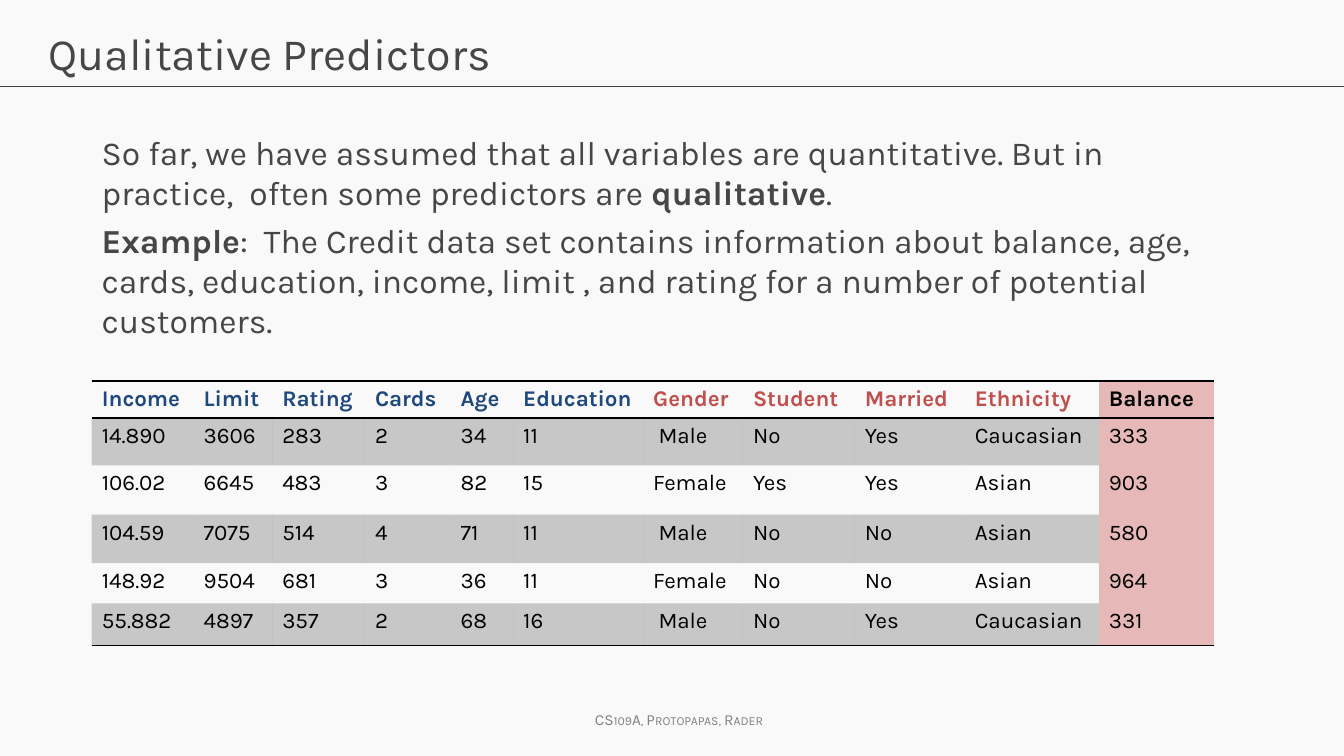
from lxml import etree
from pptx import Presentation
from pptx.dml.color import RGBColor
from pptx.enum.shapes import MSO_CONNECTOR
from pptx.enum.text import MSO_ANCHOR, PP_ALIGN
from pptx.oxml.ns import qn
from pptx.util import Inches, Pt

STRAIGHT = MSO_CONNECTOR.STRAIGHT
TOP, MIDDLE = MSO_ANCHOR.TOP, MSO_ANCHOR.MIDDLE
LEFT, CENTER = PP_ALIGN.LEFT, PP_ALIGN.CENTER
WIDTH, HEIGHT = 13.33, 7.5
MARGIN = 0.91
FONT = "Karla"
PLAIN_TABLE = "{2D5ABB26-0587-4C30-8999-92F81FD0307C}"
INK, BLACK, PINK = "464646", "000000", "E6B9B8"
QUANTITATIVE, QUALITATIVE = "1F497D", "C0504D"

COLUMN_WIDTHS = [1.01, 0.78, 0.92, 0.85, 0.62, 1.29, 0.99, 1.11, 1.09, 1.33, 1.14]
ROW_HEIGHTS = [0.31, 0.47, 0.49, 0.48, 0.4, 0.42]
HEADER_COLORS = [QUANTITATIVE] * 6 + [QUALITATIVE] * 4 + [BLACK]
CREDIT = [
    ["Income", "Limit", "Rating", "Cards", "Age", "Education",
     "Gender", "Student", "Married", "Ethnicity", "Balance"],
    ["14.890", "3606", "283", "2", "34", "11", " Male", "No", "Yes", "Caucasian", "333"],
    ["106.02", "6645", "483", "3", "82", "15", "Female", "Yes", "Yes", "Asian", "903"],
    ["104.59", "7075", "514", "4", "71", "11", " Male", "No", "No", "Asian", "580"],
    ["148.92", "9504", "681", "3", "36", "11", "Female", "No", "No", "Asian", "964"],
    ["55.882", "4897", "357", "2", "68", "16", " Male", "No", "Yes", "Caucasian", "331"],
]
INTRODUCTION = [
    [("So far, we have assumed that all variables are quantitative. But in practice,  "
      "often some predictors are ", False), ("qualitative", True), (".", False)],
    [("Example", True),
     (":  The Credit data set contains information about balance, age, cards, education, "
      "income, limit , and rating for a number of potential customers.", False)],
]


def rgb(value):
    return RGBColor.from_string(value)


def write(frame, paragraphs, size, color=INK, align=LEFT, gap=0, small_caps=False):
    """Fill a text frame; each paragraph is a list of (words, bold) runs."""
    for index, runs in enumerate(paragraphs):
        paragraph = frame.add_paragraph() if index else frame.paragraphs[0]
        paragraph.alignment = align
        if index:
            paragraph.space_before = Pt(gap)
        for words, bold in runs:
            run = paragraph.add_run()
            run.text = words
            run.font.name, run.font.size, run.font.bold = FONT, Pt(size), bold
            run.font.color.rgb = rgb(color)
            if small_caps:
                run.font._element.set("cap", "small")


def add_text(slide, left, top, width, height, paragraphs, anchor=TOP, wrap=True, **style):
    box = slide.shapes.add_textbox(*map(Inches, (left, top, width, height)))
    box.text_frame.word_wrap = wrap
    box.text_frame.vertical_anchor = anchor
    write(box.text_frame, paragraphs, **style)


def add_rule(slide, y, color, weight):
    """Draw a line across the full slide width."""
    rule = slide.shapes.add_connector(STRAIGHT, 0, Inches(y), Inches(WIDTH), Inches(y))
    rule.line.color.rgb = rgb(color)
    rule.line.width = Pt(weight)
    etree.SubElement(rule._element.spPr, qn("a:effectLst"))


def set_border(cell, side):
    border = etree.SubElement(cell._tc.get_or_add_tcPr(), qn("a:" + side), w=str(Pt(1)))
    fill = etree.SubElement(border, qn("a:solidFill"))
    etree.SubElement(fill, qn("a:srgbClr"), val=BLACK)


def set_fill(cell, color, opacity=100):
    cell.fill.solid()
    cell.fill.fore_color.rgb = rgb(color)
    if opacity < 100:
        swatch = cell._tc.tcPr.find(".//" + qn("a:solidFill") + "/" + qn("a:srgbClr"))
        etree.SubElement(swatch, qn("a:alpha"), val=str(opacity * 1000))


def style_cell(cell, row, column):
    """Rule off header and last row, shade odd rows, tint the response column."""
    is_header = row == 0
    cell.vertical_anchor = MIDDLE if is_header else TOP
    if column == len(COLUMN_WIDTHS) - 1:
        set_fill(cell, PINK)
    elif row % 2:
        set_fill(cell, BLACK, opacity=20)
    else:
        cell.fill.background()
    fill = cell._tc.tcPr[0]
    if is_header:
        set_border(cell, "lnT")
    if is_header or row == len(ROW_HEIGHTS) - 1:
        set_border(cell, "lnB")
    cell._tc.tcPr.append(fill)  # the schema wants borders before the fill


def add_credit_table(slide, left, top):
    size = sum(COLUMN_WIDTHS), sum(ROW_HEIGHTS)
    frame = slide.shapes.add_table(len(ROW_HEIGHTS), len(COLUMN_WIDTHS),
                                   *map(Inches, (left, top, *size)))
    table = frame.table
    table.first_row = table.horz_banding = False
    table._tbl.tblPr.find(qn("a:tableStyleId")).text = PLAIN_TABLE
    for column, width in zip(table.columns, COLUMN_WIDTHS):
        column.width = Inches(width)
    for r, (height, values) in enumerate(zip(ROW_HEIGHTS, CREDIT)):
        table.rows[r].height = Inches(height)
        for c, value in enumerate(values):
            cell = table.cell(r, c)
            color = BLACK if r else HEADER_COLORS[c]
            write(cell.text_frame, [[(value, r == 0)]], size=16, color=color)
            style_cell(cell, r, c)


def main():
    deck = Presentation()
    deck.slide_width, deck.slide_height = Inches(WIDTH), Inches(HEIGHT)
    slide = deck.slides.add_slide(deck.slide_layouts[6])
    slide.background.fill.solid()
    slide.background.fill.fore_color.rgb = rgb("F9F9F9")

    add_rule(slide, 0.86, "404040", 0.75)
    add_text(slide, 5.75, 7, 1.97, 0.29, [[("CS109A, Protopapas, Rader", False)]],
             wrap=False, size=11, color="808080", align=CENTER, small_caps=True)
    add_text(slide, 0.38, 0.21, 12.57, 0.84, [[("Qualitative Predictors", False)]], size=32)
    add_text(slide, MARGIN, 1.26, 11.29, 2.31, INTRODUCTION, size=24, gap=5)
    add_credit_table(slide, MARGIN, 3.78)

    deck.save("out.pptx")


if __name__ == "__main__":
    main()
